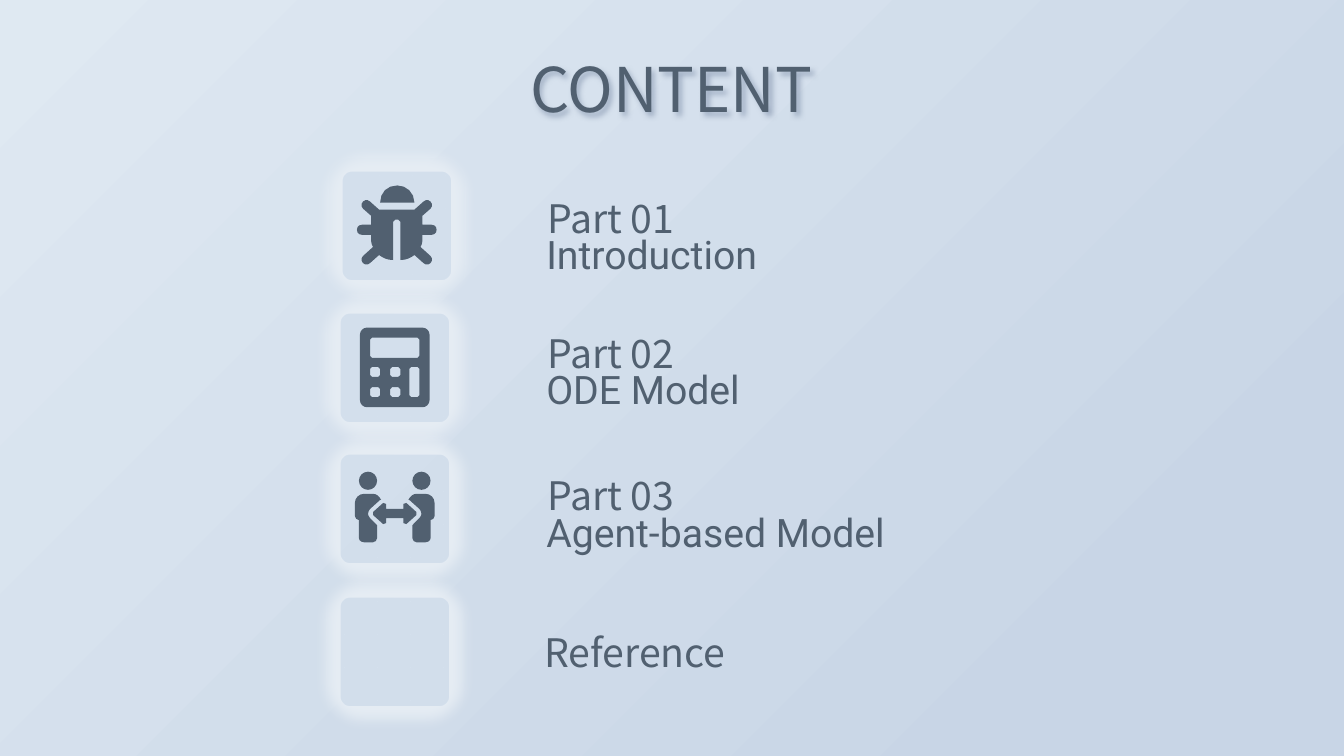
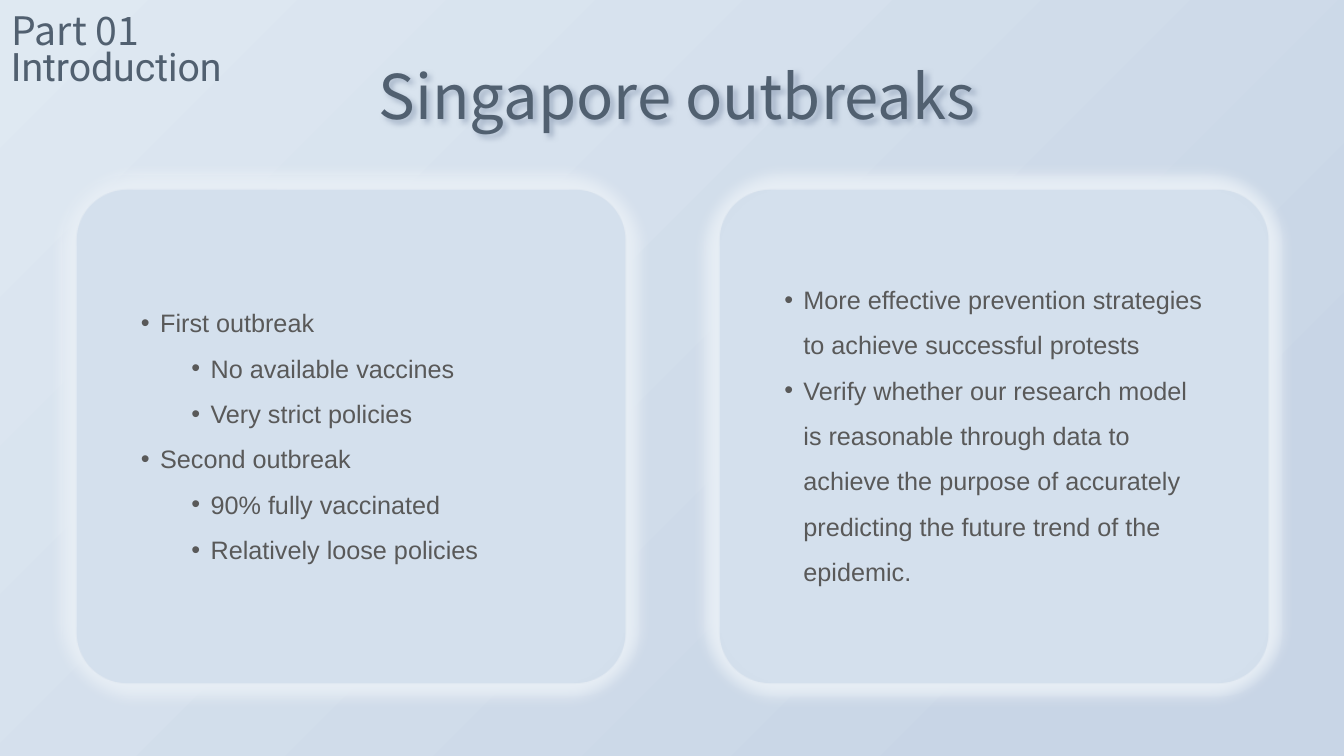
from math import dist

from lxml import etree
from pptx import Presentation
from pptx.dml.color import RGBColor
from pptx.enum.shapes import MSO_SHAPE as Shape
from pptx.enum.text import MSO_ANCHOR as Anchor, MSO_AUTO_SIZE as AutoSize, PP_ALIGN as Align
from pptx.oxml.ns import qn
from pptx.util import Inches, Pt

# Content: label top, tile left, tile top, part, title, icon
AGENDA = [
    (1.88, 3.26, 1.56, "Part 01", "Introduction", "bug"),
    (3.22, 3.24, 2.97, "Part 02", "ODE Model", "calculator"),
    (4.63, 3.24, 4.37, "Part 03", "Agent-based Model", "people"),
    (6.18, 3.24, 5.79, "Reference", None, None),
]
# Card left, text top, text height, (level, text) items
CARDS = [
    (0.62, 2.86, 2.78, [
        (0, "First outbreak"),
        (1, "No available vaccines"),
        (1, "Very strict policies"),
        (0, "Second outbreak"),
        (1, "90% fully vaccinated"),
        (1, "Relatively loose policies"),
    ]),
    (7, 2.4, 3.69, [
        (0, "More effective prevention strategies to achieve successful protests"),
        (0, "Verify whether our research model is reasonable through data to achieve "
            "the purpose of accurately predicting the future trend of the epidemic."),
    ]),
]

# Shared style
INK, BODY, PANEL, RIM, SHADE = "516070", "595959", "D4E0ED", "FFFFFF", "8091AB"
BACKDROP = [(0, "DFE9F2"), (0.85, "C8D5E6")]
TITLE_FONT = {"size": Pt(44), "name": "Noto Sans CJK JP"}
PART_FONT = {"size": Pt(28), "name": "Noto Sans CJK JP"}
NAME_FONT = {"size": Pt(28), "name": "Roboto"}
BODY_FONT = {"size": Pt(18), "name": "Arial"}
TILE, TILE_ROUNDING = 1.35, 0.172
CARD_TOP, CARD_WIDTH, CARD_HEIGHT, CARD_ROUNDING = 1.74, 5.71, 5.17, 0.124
HANG = 0.19


def rounded(x, y, width, height, radius):
    """Outline of a rounded rectangle as path text."""
    right, bottom, pull = x + width, y + height, radius * 0.45
    return (f"M {x + radius} {y} L {right - radius} {y} "
            f"C {right - pull} {y} {right} {y + pull} {right} {y + radius} "
            f"L {right} {bottom - radius} "
            f"C {right} {bottom - pull} {right - pull} {bottom} {right - radius} {bottom} "
            f"L {x + radius} {bottom} "
            f"C {x + pull} {bottom} {x} {bottom - pull} {x} {bottom - radius} "
            f"L {x} {y + radius} C {x} {y + pull} {x + pull} {y} {x + radius} {y}")


# Icons in hundredths of an inch: width, height, (mode, outline).
# "once" is a whole outline, "pair" adds its mirror image, "half" is closed by its mirror image.
KEYS = [(10, 10, 49, 20), (49, 39, 10, 30)] + [(x, y, 10, 10) for x in (10, 30) for y in (39, 59)]
ICONS = {
    "calculator": (69, 79, [("once", rounded(0, 0, 69, 79, 7))]
                   + [("once", rounded(*key, 2)) for key in KEYS]),
    "people": (79, 73, [
        ("pair", rounded(4, 0, 18, 18, 9)),
        ("pair", "M 13 42 C 13 40 14 38 15 37 L 25 28 L 26 28 C 24 24 21 22 18 22 L 9 22 "
                 "C 4 22 0 26 0 31 L 0 44 C 0 46 2 48 4 48 L 4 66 C 4 68 6 70 9 70 L 18 70 "
                 "C 20 70 22 68 22 66 L 22 53 L 15 46 C 14 45 13 43 13 42"),
        ("half", "M 48 37 L 48 32 C 48 31 50 30 51 31 L 61 40 C 62 41 62 42 61 43 L 51 52 "
                 "C 50 53 48 53 48 51 L 48 46"),
    ]),
    "bug": (79, 79, [
        ("once", "M 40 0 C 30 0 23 7 23 17 L 57 17 C 57 7 49 0 40 0"),
        ("half", "M 57 24 L 66 16 C 68 14 71 14 73 16 C 75 18 75 21 73 23 L 65 30 L 65 39 "
                 "L 74 39 C 77 39 79 41 79 44 C 79 47 77 49 74 49 L 65 49 L 65 51 "
                 "C 65 55 65 58 63 61 L 73 70 C 75 72 75 75 73 77 C 71 79 68 79 66 77 "
                 "L 57 69 C 53 72 49 74 43 74 L 43 36 C 43 35 42 34 41 34"),
    ]),
}


def color(value):
    return RGBColor.from_string(value)


def trace(outline):
    """Turn path text into points, with more of them on longer curves."""
    points, words = [], outline.split()
    while words:
        count = 6 if words.pop(0) == "C" else 2
        numbers = [float(word) for word in words[:count]]
        del words[:count]
        pairs = list(zip(numbers[::2], numbers[1::2]))
        if count == 2:
            points += [pair for pair in pairs if pair not in points[-1:]]
            continue
        corners = [points[-1]] + pairs
        steps = min(4, max(1, round(dist(corners[0], corners[3]) / 2.5)))
        for step in range(1, steps + 1):
            t = step / steps
            weights = ((1 - t) ** 3, 3 * t * (1 - t) ** 2, 3 * t * t * (1 - t), t ** 3)
            points.append(tuple(sum(w * c[axis] for w, c in zip(weights, corners))
                                for axis in (0, 1)))
    return points if points[0] != points[-1] else points[:-1]


def add_effect(shape, kind, **values):
    """Put one effect on a shape and return its element."""
    shape.shadow.inherit = False
    effects = shape._element.spPr.find(qn("a:effectLst"))
    return etree.SubElement(effects, qn(f"a:{kind}"),
                            {name: str(int(value)) for name, value in values.items()})


def set_alpha(tone, percent):
    etree.SubElement(tone, qn("a:alpha"), val=str(percent * 1000))


def write(para, text, style, tint):
    span = para.add_run()
    span.text = text
    span.font.color.rgb = color(tint)
    for name, value in style.items():
        setattr(span.font, name, value)


def add_text(page, left, top, width, height, anchor=Anchor.TOP):
    box = page.shapes.add_textbox(Inches(left), Inches(top), Inches(width), Inches(height))
    frame = box.text_frame
    frame.word_wrap = True
    frame.auto_size = AutoSize.SHAPE_TO_FIT_TEXT
    frame.vertical_anchor = anchor
    return frame


def add_label(page, left, top, part, name=None):
    """Part number with its name below."""
    write(add_text(page, left, top, 4.77, 0.57).paragraphs[0], part, PART_FONT, INK)
    if name:
        frame = add_text(page, left - 0.01, top + 0.36, 4.73, 0.57)
        write(frame.paragraphs[0], name, NAME_FONT, INK)


def add_panel(page, left, top, width, height, rounding):
    """Panel with a wide, translucent rim that fades outwards."""
    panel = page.shapes.add_shape(Shape.ROUNDED_RECTANGLE, Inches(left), Inches(top),
                                  Inches(width), Inches(height))
    panel.adjustments[0] = rounding
    panel.fill.solid()
    panel.fill.fore_color.rgb = color(PANEL)
    panel.line.width = Pt(20)
    panel.line.color.rgb = color(RIM)
    set_alpha(panel.line._ln.find(".//" + qn("a:srgbClr")), 45)
    add_effect(panel, "softEdge", rad=Pt(10))


def add_icon(page, name, center_x, center_y):
    width, height, outlines = ICONS[name]
    contours = []
    for mode, outline in outlines:
        points = trace(outline)
        mirrored = [(width - x, y) for x, y in reversed(points)]
        if mode == "half":
            contours.append(points + mirrored)
        else:
            contours += [points, mirrored] if mode == "pair" else [points]
    left, top = center_x - width / 200, center_y - height / 200
    builder = None
    for contour in contours:
        first, *rest = [(Inches(left + x / 100), Inches(top + y / 100)) for x, y in contour]
        if builder is None:
            builder = page.shapes.build_freeform(*first, scale=1.0)
        else:
            builder.move_to(*first)
        builder.add_line_segments(rest, close=True)
    icon = builder.convert_to_shape()
    icon.shadow.inherit = False
    icon.fill.solid()
    icon.fill.fore_color.rgb = color(INK)
    icon.line.fill.background()


def add_bullets(page, left, top, height, items):
    frame = add_text(page, left, top, 4.35, height, Anchor.MIDDLE)
    for index, (level, text) in enumerate(items):
        para = frame.add_paragraph() if index else frame.paragraphs[0]
        para.level = level
        para.line_spacing = 1.5
        props = para._p.get_or_add_pPr()
        props.set("marL", str(Inches(HANG + 0.5 * level)))
        props.set("indent", str(-Inches(HANG)))
        etree.SubElement(props, qn("a:buFont"), typeface="Arial")
        etree.SubElement(props, qn("a:buChar"), char="•")
        write(para, text, BODY_FONT, BODY)


def add_page(deck, text, left, top, width):
    """New slide with its shadowed title."""
    page = deck.slides.add_slide(deck.slide_layouts[5])
    title = page.shapes.title
    place = {"left": left, "top": top, "width": width, "height": 0.84}
    for name, value in place.items():
        setattr(title, name, Inches(value))
    frame = title.text_frame
    frame.vertical_anchor = Anchor.TOP
    frame.auto_size = AutoSize.SHAPE_TO_FIT_TEXT
    frame.paragraphs[0].alignment = Align.CENTER
    write(frame.paragraphs[0], text, TITLE_FONT, INK)
    shadow = add_effect(title, "outerShdw", blurRad=Pt(4), dist=Pt(3), dir=45 * 60000)
    set_alpha(etree.SubElement(shadow, qn("a:srgbClr"), val=SHADE), 60)
    return page


def main():
    deck = Presentation()
    deck.slide_width, deck.slide_height = Inches(13.33), Inches(7.5)

    # Gradient behind every slide
    fill = deck.slide_master.background.fill
    fill.gradient()
    fill.gradient_angle = 315
    for stop, (position, tint) in zip(fill.gradient_stops, BACKDROP):
        stop.position = position
        stop.color.rgb = color(tint)

    # Agenda
    page = add_page(deck, "CONTENT", 4.38, 0.46, 4.56)
    for label_top, left, top, part, name, icon in AGENDA:
        add_panel(page, left, top, TILE, TILE, TILE_ROUNDING)
        if icon:
            add_icon(page, icon, left + TILE / 2, top + TILE / 2)
        add_label(page, 5.33 if name else 5.3, label_top, part, name)

    # Outbreaks
    page = add_page(deck, "Singapore outbreaks", 3.14, 0.52, 7.15)
    add_label(page, 0.02, 0.01, *AGENDA[0][3:5])
    for left, text_top, text_height, items in CARDS:
        add_panel(page, left, CARD_TOP, CARD_WIDTH, CARD_HEIGHT, CARD_ROUNDING)
        add_bullets(page, left + 0.68, text_top, text_height, items)

    deck.save("out.pptx")


if __name__ == "__main__":
    main()
